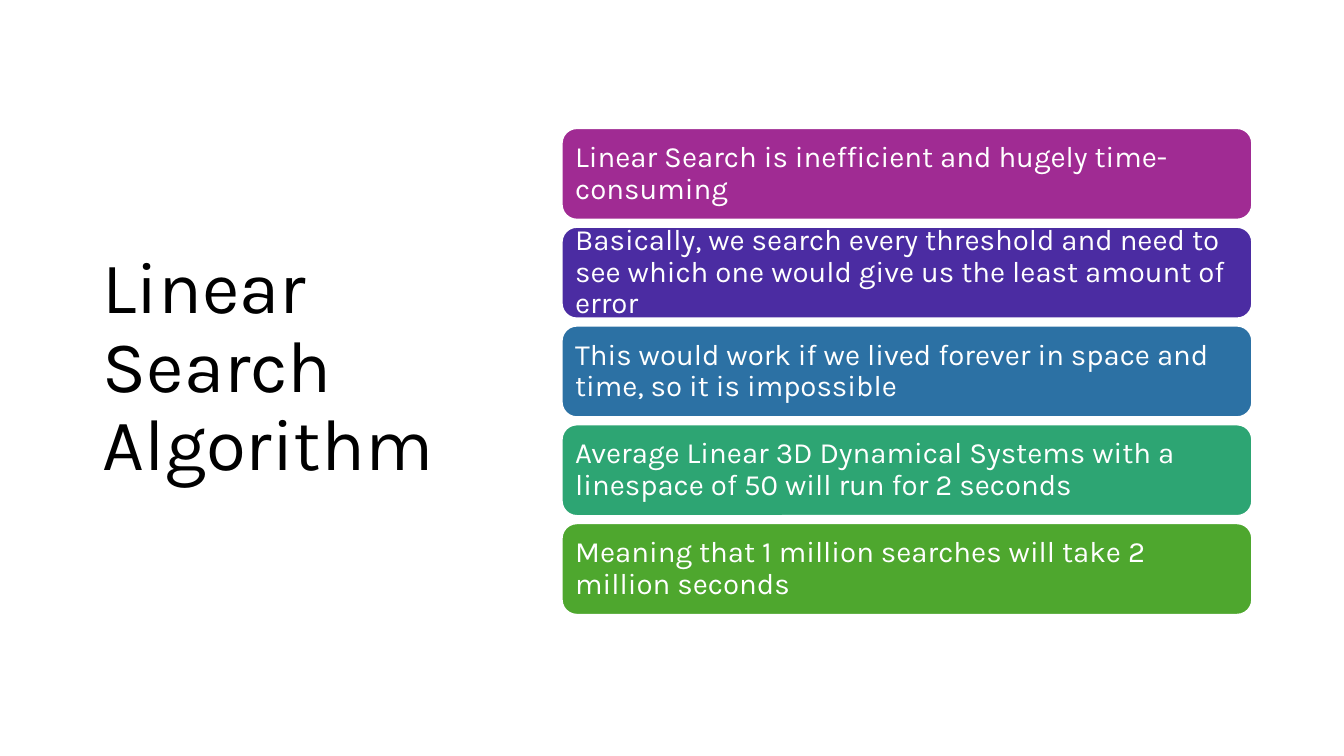
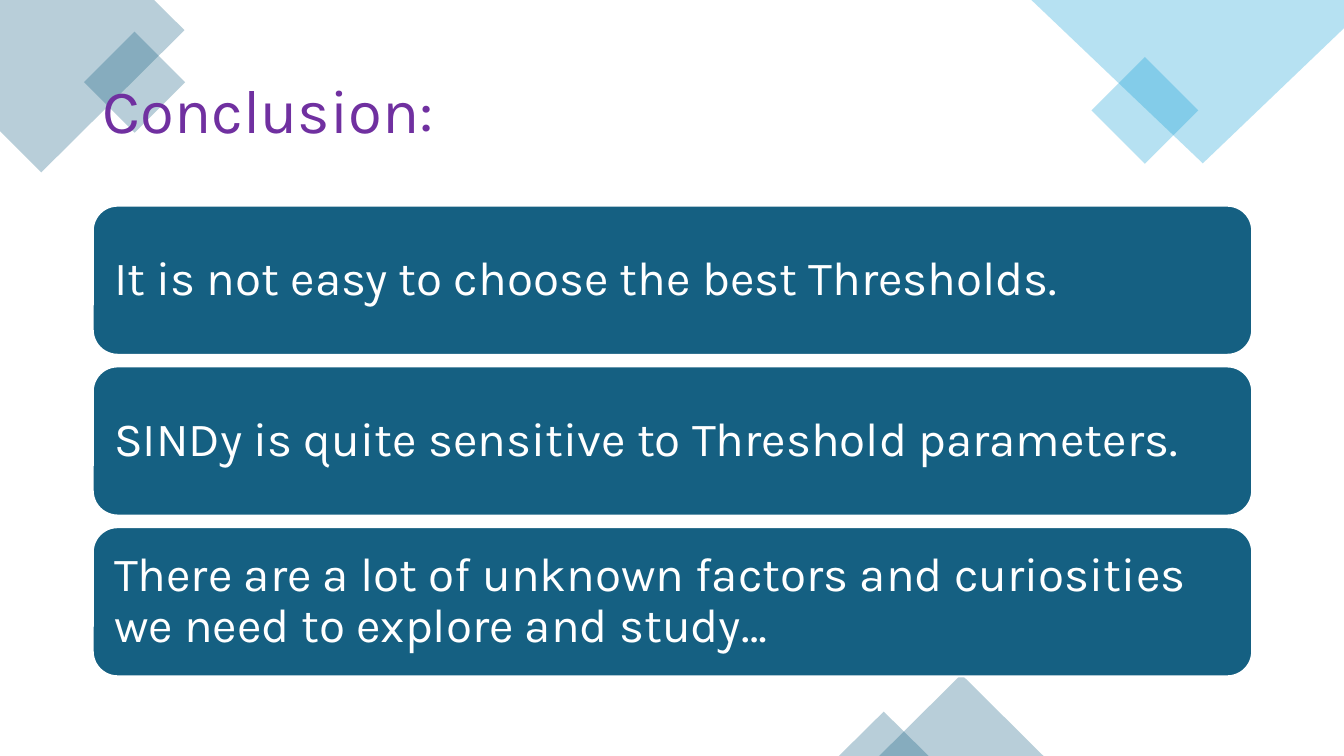
from lxml.etree import SubElement
from pptx import Presentation
from pptx.dml.color import RGBColor
from pptx.enum.shapes import MSO_SHAPE
from pptx.enum.text import MSO_ANCHOR, MSO_AUTO_SIZE, PP_ALIGN
from pptx.oxml.ns import qn
from pptx.util import Inches, Pt

COLORS = {
    "black": "000000",
    "white": "FFFFFF",
    "title": "7030A0",
    "teal": "156082",
    "sky": "0F9ED5",
    "magenta": "A02B93",
    "indigo": "4B2CA2",
    "blue": "2C71A4",
    "sea": "2DA573",
    "green": "4EA72E",
}
TITLE_ONLY = 5


class Deck:
    font = "Karla"
    frame_format = {
        "word_wrap": True,
        "auto_size": MSO_AUTO_SIZE.NONE,
        "vertical_anchor": MSO_ANCHOR.MIDDLE,
    }
    paragraph_format = {"alignment": PP_ALIGN.LEFT, "line_spacing": 0.9}

    def __init__(self):
        self.prs = Presentation()
        self.prs.slide_width = Inches(13.33)
        self.prs.slide_height = Inches(7.5)
        self.slide = None

    def new_slide(self):
        layout = self.prs.slide_layouts[TITLE_ONLY]
        self.slide = self.prs.slides.add_slide(layout)

    def color(self, name):
        return RGBColor.from_string(COLORS[name])

    def set_text(self, shape, text, size, color):
        frame = shape.text_frame
        frame.text = text
        paragraph = frame.paragraphs[0]
        font_format = {"name": self.font, "size": Pt(size)}
        for target, values in (
            (frame, self.frame_format),
            (paragraph, self.paragraph_format),
            (paragraph.runs[0].font, font_format),
        ):
            for attribute, value in values.items():
                setattr(target, attribute, value)
        paragraph.runs[0].font.color.rgb = self.color(color)

    def title(self, text, box, size, color):
        """Fill the title placeholder and bring it in front of what is drawn so far."""
        title = self.slide.shapes.title
        title.left, title.top, title.width, title.height = map(Inches, box)
        self.set_text(title, text, size, color)
        title.element.getparent().append(title.element)

    def paint(self, shape, color):
        shape.shadow.inherit = False
        shape.fill.solid()
        shape.fill.fore_color.rgb = self.color(color)

    def tint(self, shape, color, opacity=30):
        """Give a decoration a see-through fill and no outline."""
        self.paint(shape, color)
        shape.line.fill.background()
        rgb = shape.element.spPr.find(qn("a:solidFill")).find(qn("a:srgbClr"))
        SubElement(rgb, qn("a:alpha")).set("val", str(opacity * 1000))

    def decoration(self, kind, box, color, rotation=0):
        shape = self.slide.shapes.add_shape(kind, *map(Inches, box))
        shape.rotation = rotation
        self.tint(shape, color)

    def corner(self, points, color):
        start, *rest = [(Inches(x), Inches(y)) for x, y in points]
        builder = self.slide.shapes.build_freeform(*start)
        builder.add_line_segments(rest, close=True)
        self.tint(builder.convert_to_shape(), color)

    def cards(self, items, left, top, width, height, bottom, size, inset):
        """Stack (text, color) cards evenly from top to bottom."""
        pitch = (bottom - top - height) / (len(items) - 1)
        for row, (text, color) in enumerate(items):
            box = (left, top + row * pitch, width, height)
            card = self.slide.shapes.add_shape(
                MSO_SHAPE.ROUNDED_RECTANGLE, *map(Inches, box))
            self.paint(card, color)
            card.line.color.rgb = self.color("white")
            card.line.width = Pt(1.5)
            for side in ("left", "top", "right", "bottom"):
                setattr(card.text_frame, f"margin_{side}", Inches(inset))
            self.set_text(card, text, size, "white")


def linear_search(deck):
    deck.new_slide()
    deck.title("Linear Search Algorithm", (0.92, 0.61, 3.69, 6.09), 52, "black")
    drawbacks = [
        ("Linear Search is inefficient and hugely time-consuming", "magenta"),
        ("Basically, we search every threshold and need to see which one "
         "would give us the least amount of error", "indigo"),
        ("This would work if we lived forever in space and time, "
         "so it is impossible", "blue"),
        ("Average Linear 3D Dynamical Systems with a linespace of 50 "
         "will run for 2 seconds", "sea"),
        ("Meaning that 1 million searches will take 2 million seconds", "green"),
    ]
    deck.cards(drawbacks, left=5.57, top=1.27, width=6.85, height=0.91,
               bottom=6.1, size=21, inset=0.09)


def conclusion(deck):
    deck.new_slide()
    deck.corner([(1.53, 0), (0, 0), (0, 1.3), (0.41, 1.71), (1.83, 0.3)], "teal")
    deck.corner([(13.33, 0), (10.23, 0), (11.93, 1.62), (13.33, 0.28)], "sky")
    square, triangle = MSO_SHAPE.RECTANGLE, MSO_SHAPE.ISOSCELES_TRIANGLE
    deck.decoration(square, (0.98, 0.46, 0.71, 0.71), "teal", rotation=315)
    deck.decoration(square, (10.98, 0.72, 0.75, 0.75), "sky", rotation=315)
    deck.decoration(triangle, (8.72, 6.69, 1.63, 0.81), "teal")
    deck.decoration(triangle, (8.32, 7.06, 0.89, 0.44), "teal")
    deck.title("Conclusion:", (0.92, 0.4, 11.5, 1.45), 44, "title")
    findings = [
        "It is not easy to choose the best Thresholds.",
        "SINDy is quite sensitive to Threshold parameters.",
        "There are a lot of unknown factors and curiosities "
        "we need to explore and study…",
    ]
    deck.cards([(finding, "teal") for finding in findings], left=0.92, top=2.04,
               width=11.5, height=1.48, bottom=6.71, size=34, inset=0.14)


def main():
    deck = Deck()
    linear_search(deck)
    conclusion(deck)
    deck.prs.save("out.pptx")


if __name__ == "__main__":
    main()
